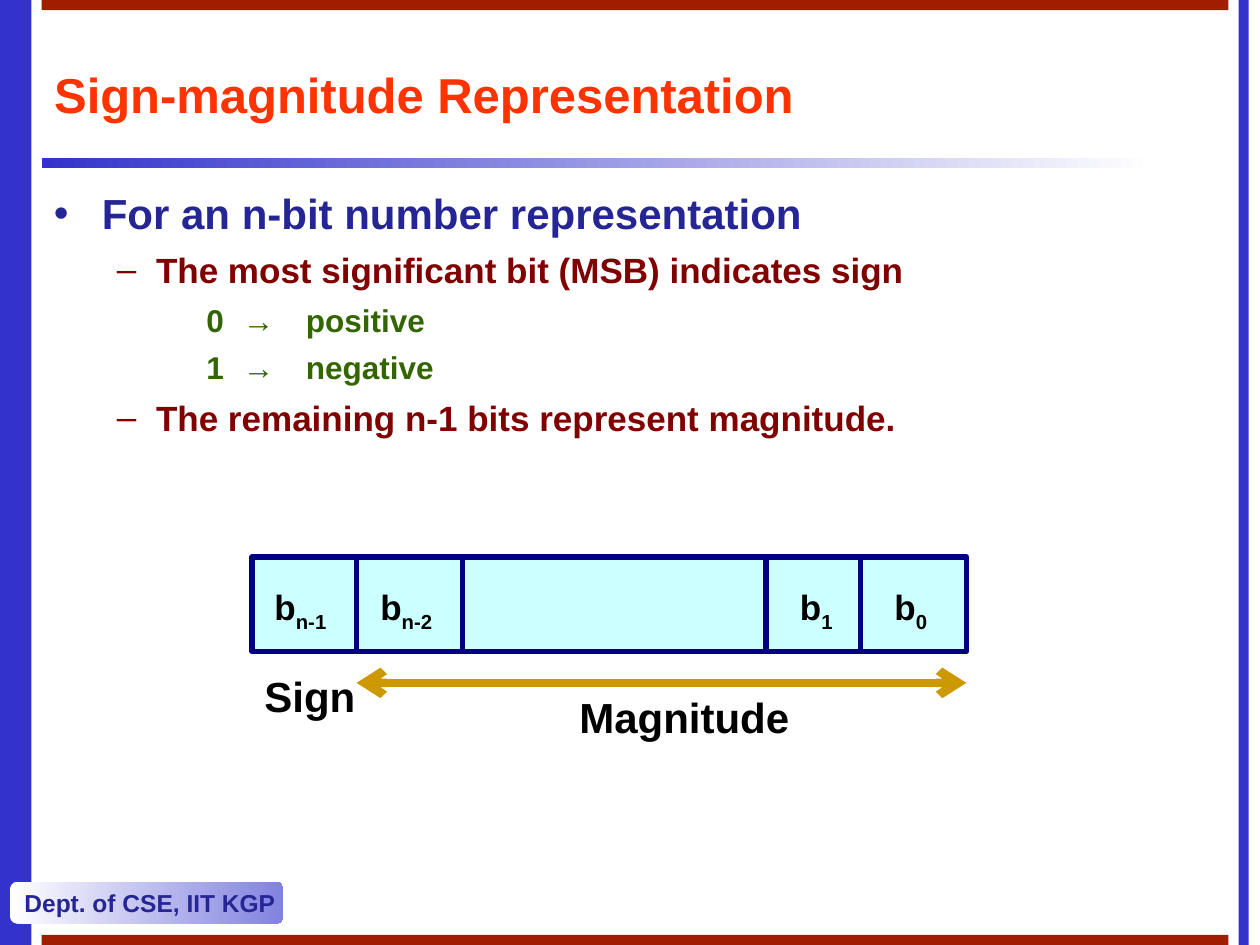
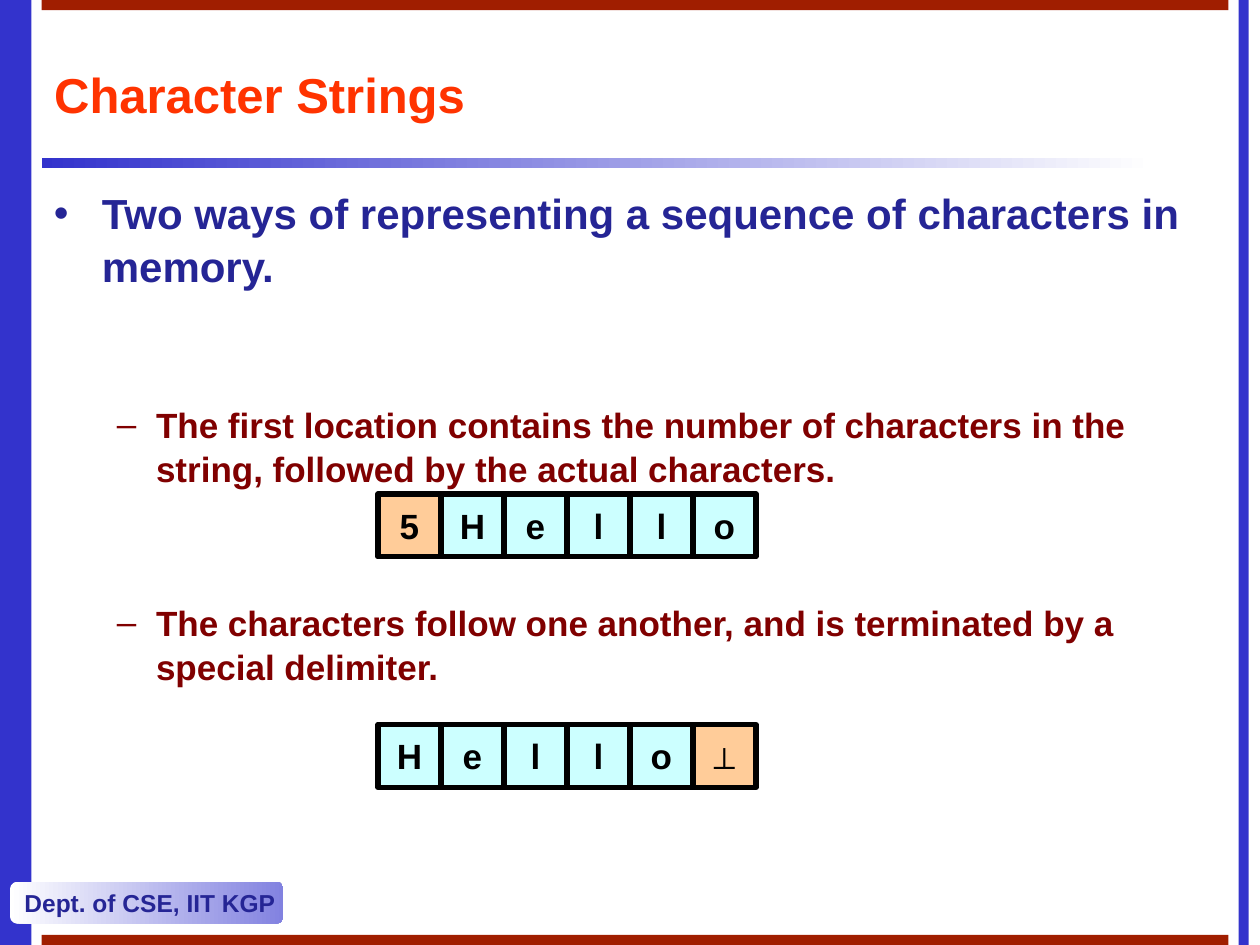
from lxml.etree import SubElement
from pptx import Presentation
from pptx.dml.color import RGBColor
from pptx.enum.shapes import MSO_CONNECTOR as CONN, MSO_SHAPE as SHAPE
from pptx.enum.text import MSO_ANCHOR as ANCHOR, PP_ALIGN as ALIGN
from pptx.oxml.ns import qn
from pptx.util import Inches, Pt

C = {
    "blue": "3333CC", "pale_blue": "8282E0", "white": "FFFFFF",
    "band": "A01E00", "title": "FF3300", "point": "252595",
    "detail": "800000", "value": "336600", "black": "000000",
    "cell": "CCFFFF", "marker": "FFCC99", "navy": "000080", "gold": "CC9900",
}
FONT = "Arial"
LEFT, WIDTH = 0.33, 9.42
LEVELS = {
    "point": dict(size=24, before=6, margin=0.38, indent=-0.38, bullet="•"),
    "detail": dict(size=20, before=5, margin=0.81, indent=-0.31, bullet="–"),
    "value": dict(size=18, before=4.5, margin=0, indent=1.21, tabs=(1.49, 1.88)),
}


def rgb(name):
    """Look up a palette colour."""
    return RGBColor.from_string(C[name])


def write(p, text, size=20, color="black", sub=None, align=ALIGN.LEFT,
          before=0, spacing=None, margin=0, indent=0, bullet=None, tabs=()):
    """Fill a paragraph with bold text and an optional subscript."""
    pPr = p._p.get_or_add_pPr()
    pPr.set("marL", str(Inches(margin)))
    pPr.set("indent", str(Inches(indent)))
    if bullet:
        clr = SubElement(pPr, qn("a:buClr"))
        SubElement(clr, qn("a:srgbClr"), val=C[color])
        SubElement(pPr, qn("a:buFont"), typeface=FONT)
        SubElement(pPr, qn("a:buChar"), char=bullet)
    if tabs:
        tab_list = SubElement(pPr, qn("a:tabLst"))
        for pos in tabs:
            SubElement(tab_list, qn("a:tab"), pos=str(Inches(pos)), algn="l")
    p.alignment = align
    p.space_before = Pt(before)
    if spacing:
        p.line_spacing = spacing
    for part in filter(None, (text, sub)):
        r = p.add_run()
        r.text = part
        r.font.name, r.font.size, r.font.bold = FONT, Pt(size), True
        r.font.color.rgb = rgb(color)
        if part is sub:
            r._r.get_or_add_rPr().set("baseline", "-25000")


def add_box(s, x, y, w, h, fill, shape=SHAPE.RECTANGLE, line=None):
    """Add a shape with a plain fill, or a left-to-right gradient for a pair."""
    sp = s.shapes.add_shape(shape, Inches(x), Inches(y), Inches(w), Inches(h))
    sp.shadow.inherit = False
    if isinstance(fill, tuple):
        sp.fill.gradient()
        sp.fill.gradient_angle = 0
        for stop, name in zip(sp.fill.gradient_stops, fill):
            stop.color.rgb = rgb(name)
    else:
        sp.fill.solid()
        sp.fill.fore_color.rgb = rgb(fill)
    if line:
        sp.line.color.rgb = rgb(line)
        sp.line.width = Pt(3)
    else:
        sp.line.fill.background()
    return sp


def add_label(s, x, y, w, h, text, **fmt):
    """Add a wrapping text box with one paragraph."""
    tf = s.shapes.add_textbox(Inches(x), Inches(y), Inches(w), Inches(h)).text_frame
    tf.word_wrap = True
    write(tf.paragraphs[0], text, spacing=1.05, **fmt)


def add_line(s, x1, y1, x2, y2, color, width, arrows=False):
    """Add a straight line, with arrowheads at both ends if asked."""
    cn = s.shapes.add_connector(CONN.STRAIGHT, Inches(x1), Inches(y1),
                                Inches(x2), Inches(y2))
    cn.line.color.rgb = rgb(color)
    cn.line.width = Pt(width)
    if arrows:
        ln = cn.line._get_or_add_ln()
        for end in ("a:headEnd", "a:tailEnd"):
            SubElement(ln, qn(end), type="arrow")
    SubElement(cn._element.spPr, qn("a:effectLst"))


def fill_middle(sp, text, **fmt):
    """Write unwrapped text at the middle height of a shape."""
    tf = sp.text_frame
    tf.word_wrap = False
    tf.vertical_anchor = ANCHOR.MIDDLE
    write(tf.paragraphs[0], text, **fmt)


def add_frame(s):
    """Draw the side bars, bands, title rule and footer."""
    add_box(s, 0, 0, 0.25, 7.5, "blue")
    add_box(s, 9.83, 0, 0.08, 7.5, "blue")
    for y in (0, 7.42):
        add_box(s, LEFT, y, WIDTH, 0.08, "band")
    add_box(s, LEFT, 1.25, 8.83, 0.08, ("blue", "white"))
    footer = add_box(s, 0.08, 7, 2.17, 0.33, ("white", "pale_blue"),
                     SHAPE.ROUNDED_RECTANGLE)
    fill_middle(footer, "Dept. of CSE, IIT KGP", size=14, color="point")


def add_body(s, x, y, w, h, items):
    """Write outline items given as level, text and optional space before."""
    tf = s.shapes.add_textbox(Inches(x), Inches(y), Inches(w), Inches(h)).text_frame
    tf.word_wrap = True
    for i, (level, text, *before) in enumerate(items):
        p = tf.add_paragraph() if i else tf.paragraphs[0]
        fmt = dict(LEVELS[level], color=level, spacing=1.05)
        if before:
            fmt["before"] = before[0]
        if i == 0:
            fmt["before"] = 0
        write(p, text, **fmt)


def add_slide(prs, title, items):
    """Add a framed slide with its title and outline."""
    s = prs.slides.add_slide(prs.slide_layouts[5])
    add_frame(s)
    t = s.shapes.title
    t.left, t.top, t.width, t.height = map(Inches, (LEFT, 0.33, WIDTH, 0.83))
    t.text_frame.vertical_anchor = ANCHOR.MIDDLE
    write(t.text_frame.paragraphs[0], title, size=28, color="title")
    add_body(s, LEFT, 1.42, WIDTH, 5.5, items)
    return s


def add_register(s, x, y, w, h):
    """Draw the bit register with its sign and magnitude parts."""
    add_box(s, x, y, w, h, "cell", line="navy")
    dividers = (0.83, 1.67, 4.08, 4.83)
    for dx in dividers:
        add_line(s, x + dx, y, x + dx, y + h, "navy", 3)
    for dx, index in ((0.08, "n-1"), (0.92, "n-2"), (4.25, "1"), (5, "0")):
        add_label(s, x + dx, y + 0.16, 0.83, 0.48, "b", sub=index)
    below = y + h + 0.25
    add_line(s, x + dividers[0], below, x + w, below, "gold", 5, arrows=True)
    add_label(s, x + 2.5, below, 3, 0.5, "Magnitude", size=24)
    add_label(s, x, below - 0.17, 1.08, 0.5, "Sign", size=24)


def add_string(s, x, y, side, chars, marker):
    """Draw one square per character, tinting the marker square."""
    for i, char in enumerate(chars):
        fill = "marker" if char == marker else "cell"
        sp = add_box(s, x + i * side, y, side, side, fill, line="black")
        fill_middle(sp, char, align=ALIGN.CENTER)


def main():
    """Build both slides."""
    prs = Presentation()
    prs.slide_width, prs.slide_height = Inches(10), Inches(7.5)

    s = add_slide(prs, "Sign-magnitude Representation", [
        ("point", "For an n-bit number representation"),
        ("detail", "The most significant bit (MSB) indicates sign"),
        ("value", "0\t→\tpositive"),
        ("value", "1\t→\tnegative"),
        ("detail", "The remaining n-1 bits represent magnitude."),
    ])
    add_register(s, 2, 4.42, 5.67, 0.75)

    s = add_slide(prs, "Character Strings", [
        ("point", "Two ways of representing a sequence of characters in memory."),
        ("detail", "The first location contains the number of characters in the "
                   "string, followed by the actual characters.", 63),
        ("detail", "The characters follow one another, and is terminated by a "
                   "special delimiter.", 63),
    ])
    add_string(s, 3, 3.92, 0.5, "5Hello", "5")
    add_string(s, 3, 5.75, 0.5, "Hello⊥", "⊥")

    prs.save("out.pptx")


if __name__ == "__main__":
    main()
